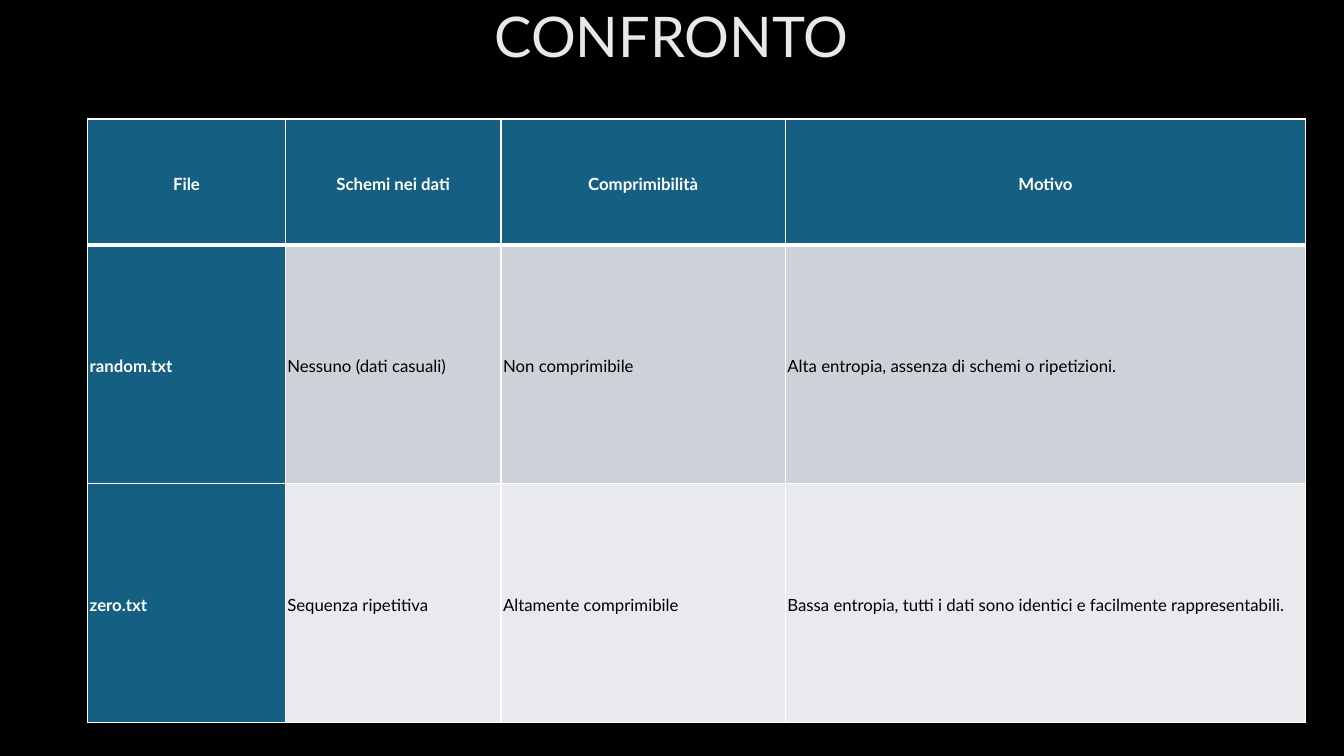
from lxml.etree import SubElement
from pptx import Presentation
from pptx.dml.color import RGBColor
from pptx.enum.text import MSO_ANCHOR, PP_ALIGN
from pptx.oxml.ns import qn
from pptx.util import Inches, Pt

BLACK = RGBColor(0x00, 0x00, 0x00)
WHITE = RGBColor(0xFF, 0xFF, 0xFF)
TITLE_GREY = RGBColor(0xE8, 0xE8, 0xE8)
TEAL = RGBColor(0x15, 0x60, 0x82)
BAND_COLORS = [RGBColor(0xCC, 0xD2, 0xD8), RGBColor(0xE8, 0xEA, 0xED)]

FONT = "Lato"
COLUMN_WIDTHS = [1.96, 2.14, 2.82, 5.16]
ROW_HEIGHTS = [1.25, 2.37, 2.37]
CELL_MARGIN = Inches(0.02)
COMPARISON = [
    ["File", "Schemi nei dati", "Comprimibilità", "Motivo"],
    ["random.txt", "Nessuno (dati casuali)", "Non comprimibile",
     "Alta entropia, assenza di schemi o ripetizioni."],
    ["zero.txt", "Sequenza ripetitiva", "Altamente comprimibile",
     "Bassa entropia, tutti i dati sono identici e facilmente rappresentabili."],
]


def add_run(paragraph, text, size, color, bold=False):
    """Append one formatted run to a paragraph."""
    run = paragraph.add_run()
    run.text = text
    run.font.name = FONT
    run.font.size = Pt(size)
    run.font.bold = bold
    run.font.color.rgb = color


def add_title(slide, text):
    """Add the centred slide title."""
    box = slide.shapes.add_textbox(Inches(1), Inches(-0.14), Inches(11.32), Inches(1.06))
    frame = box.text_frame
    frame.word_wrap = True
    frame.vertical_anchor = MSO_ANCHOR.MIDDLE
    paragraph = frame.paragraphs[0]
    paragraph.alignment = PP_ALIGN.CENTER
    paragraph.line_spacing = 0.9
    add_run(paragraph, text, 40, TITLE_GREY)


def set_borders(cell, top, bottom):
    """Draw white cell borders, with one point at the sides."""
    properties = cell._tc.get_or_add_tcPr()
    for side, width in (("L", 1), ("R", 1), ("T", top), ("B", bottom)):
        line = SubElement(properties, qn(f"a:ln{side}"), w=str(Pt(width)))
        fill = SubElement(line, qn("a:solidFill"))
        SubElement(fill, qn("a:srgbClr"), val=str(WHITE))


def fill_cell(cell, text, row, column):
    """Format a cell by its place in the table and write its text."""
    is_heading = row == 0 or column == 0
    set_borders(cell, top=3 if row == 1 else 1, bottom=3 if row == 0 else 1)
    cell.fill.solid()
    cell.fill.fore_color.rgb = TEAL if is_heading else BAND_COLORS[row - 1]
    cell.vertical_anchor = MSO_ANCHOR.MIDDLE
    cell.margin_left = cell.margin_right = CELL_MARGIN
    cell.margin_top = cell.margin_bottom = CELL_MARGIN
    paragraph = cell.text_frame.paragraphs[0]
    paragraph.alignment = PP_ALIGN.CENTER if row == 0 else PP_ALIGN.LEFT
    paragraph.line_spacing = 1.15
    paragraph.space_after = Pt(8)
    add_run(paragraph, text, 12, WHITE if is_heading else BLACK, bold=is_heading)


def add_comparison_table(slide):
    """Add the table that compares the two files."""
    table = slide.shapes.add_table(
        len(ROW_HEIGHTS), len(COLUMN_WIDTHS), Inches(0.87), Inches(1.18),
        Inches(sum(COLUMN_WIDTHS)), Inches(sum(ROW_HEIGHTS))).table
    table.first_col = True
    for column, width in zip(table.columns, COLUMN_WIDTHS):
        column.width = Inches(width)
    for row, height in zip(table.rows, ROW_HEIGHTS):
        row.height = Inches(height)
    for row, texts in enumerate(COMPARISON):
        for column, text in enumerate(texts):
            fill_cell(table.cell(row, column), text, row, column)


def main():
    """Build the comparison slide and save it."""
    presentation = Presentation()
    presentation.slide_width = Inches(13.33)
    presentation.slide_height = Inches(7.5)
    slide = presentation.slides.add_slide(presentation.slide_layouts[6])
    slide.background.fill.solid()
    slide.background.fill.fore_color.rgb = BLACK
    add_title(slide, "CONFRONTO")
    add_comparison_table(slide)
    presentation.save("out.pptx")


if __name__ == "__main__":
    main()
